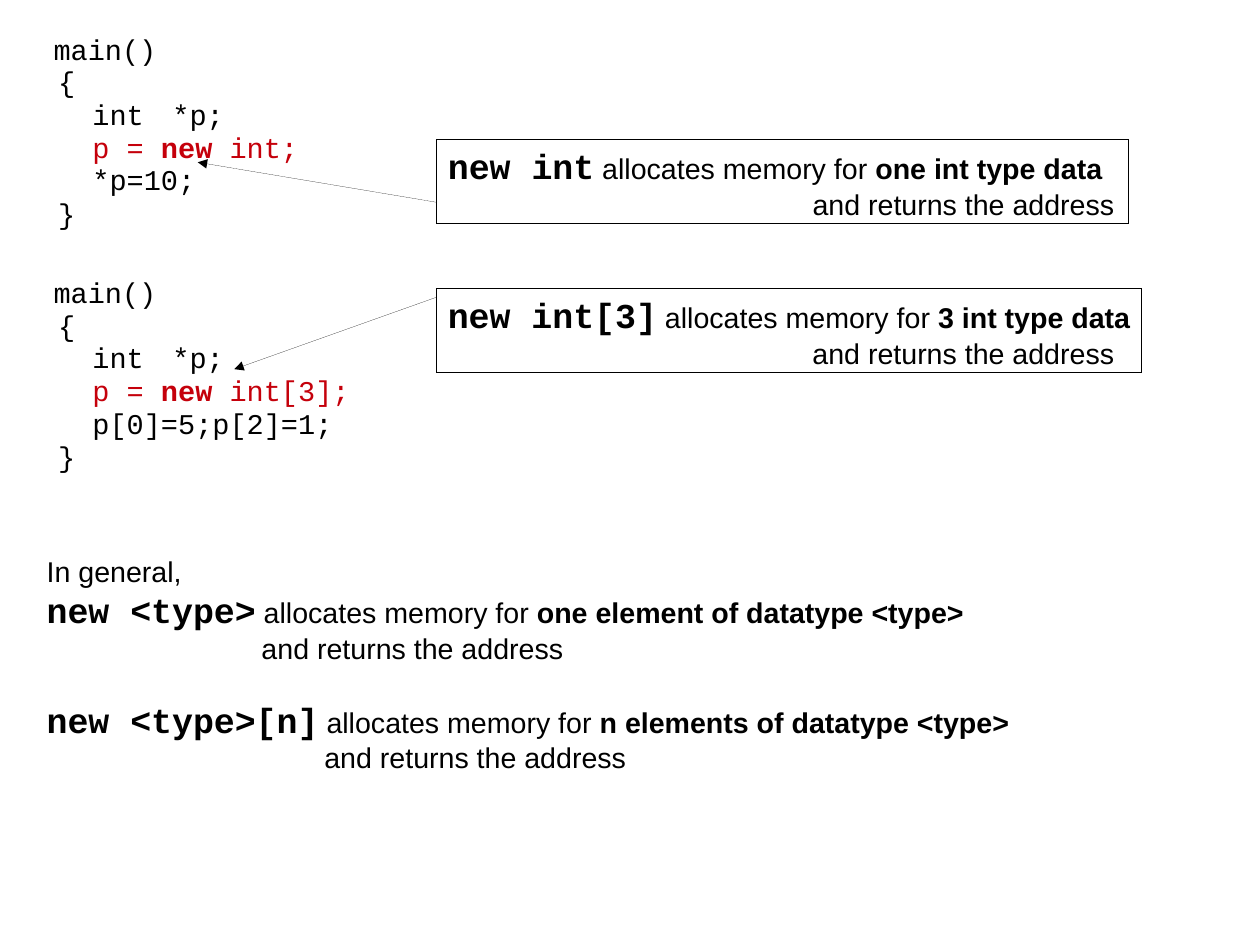
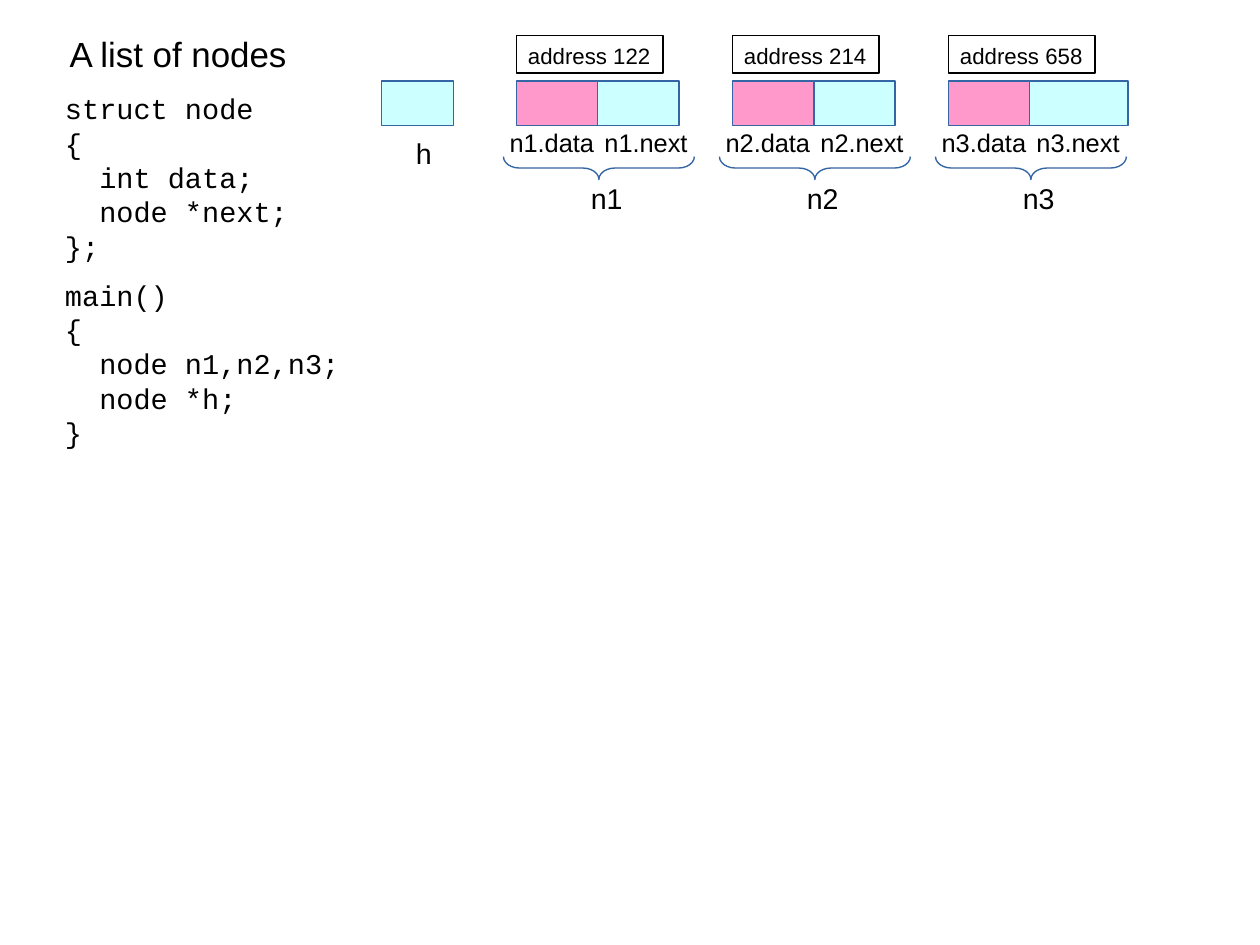
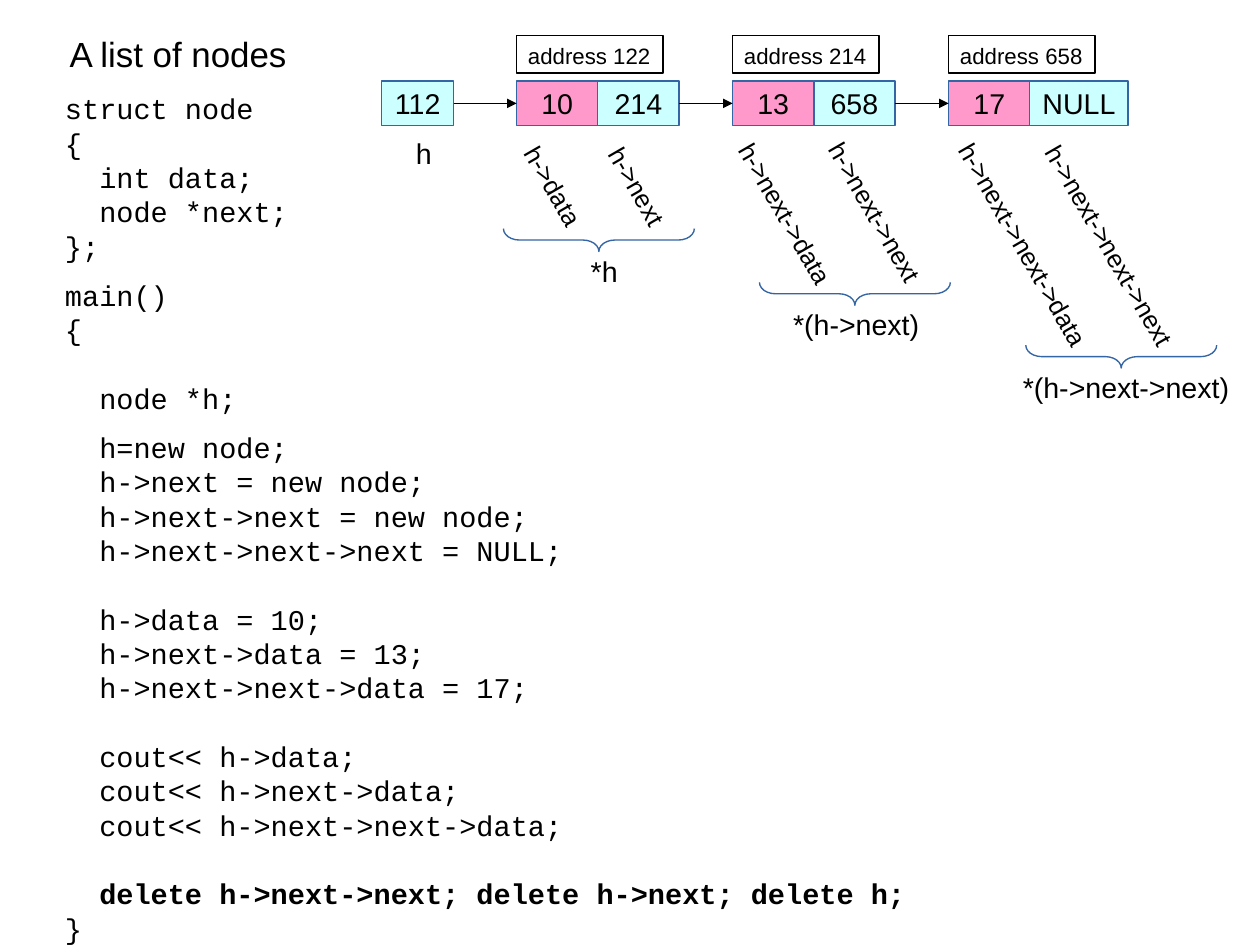
from dataclasses import dataclass

from lxml import etree
from pptx import Presentation
from pptx.dml.color import RGBColor
from pptx.enum.shapes import MSO_CONNECTOR, MSO_SHAPE
from pptx.enum.text import MSO_ANCHOR, PP_ALIGN
from pptx.oxml.ns import qn
from pptx.util import Cm, Inches, Pt

BLACK = RGBColor(0x00, 0x00, 0x00)
RED = RGBColor(0xC5, 0x00, 0x0B)
BLUE = RGBColor(0x34, 0x65, 0xA4)
PINK = RGBColor(0xFF, 0x99, 0xCC)
CYAN = RGBColor(0xCC, 0xFF, 0xFF)
SANS, MONO = "Arial", "Courier New"
HAIRLINE, THIN = 0.01, 0.85

NODE_LEFT, NODE_STEP = 4.52, 1.89
CELL_TOP, CELL_WIDTH, CELL_HEIGHT = 0.71, 0.71, 0.39
NULL_WIDTH = 0.86
HEAD_LEFT, HEAD_WIDTH = 3.34, 0.63
BRACE_DEPTH, BRACE_SPAN = 0.2, 1.67
ADDRESSES = (122, 214, 658)
CODE_GAP, CODE_BLANK, TEXT_BLANK = 9.4, 21.7, 21.2


@dataclass
class Span:
    text: str
    size: float = 18
    face: str = SANS
    bold: bool = False
    color: RGBColor = BLACK

    def style(self, font):
        font.size = Pt(self.size)
        font.name = self.face
        font.bold = self.bold
        font.color.rgb = self.color


@dataclass
class Line:
    spans: list
    indent: float = 0
    before: float = 0
    pitch: float = 0


def code_lines(source, gaps, bold_start="delete"):
    """One line per source line; gaps maps a line's text to its space before."""
    return [Line([Span(row, face=MONO, bold=row.strip().startswith(bold_start))],
                 before=gaps.get(row.strip(), 0))
            for row in source.strip().splitlines()]


def allocation(keyword, amount, indent, before=0):
    """Two lines telling what a new expression does."""
    return [Line([Span(keyword, 22, MONO, True), Span(" allocates memory for "),
                  Span(amount, bold=True)], before=before),
            Line([Span("and returns the address")], indent)]


class Deck:
    def __init__(self):
        self.prs = Presentation()
        self.prs.slide_width = Cm(28)
        self.prs.slide_height = Cm(21)
        self.slide = None

    def new_slide(self):
        self.slide = self.prs.slides.add_slide(self.prs.slide_layouts[6])

    def fill_text(self, shape, lines, inset=0.05, centred=False):
        frame = shape.text_frame
        frame.word_wrap = True
        frame.margin_left = Inches(0.05 if centred else 0.1)
        frame.margin_right = Inches(0.05 if centred else 0)
        frame.margin_top = frame.margin_bottom = Inches(inset)
        frame.vertical_anchor = MSO_ANCHOR.MIDDLE if centred else MSO_ANCHOR.TOP
        for index, line in enumerate(lines):
            paragraph = frame.paragraphs[0] if index == 0 else frame.add_paragraph()
            paragraph.alignment = PP_ALIGN.CENTER if centred else PP_ALIGN.LEFT
            if line.indent:
                paragraph._p.get_or_add_pPr().set("marL", str(Inches(line.indent)))
            if line.pitch:
                paragraph.line_spacing = Pt(line.pitch)
            if line.before:
                paragraph.space_before = Pt(line.before)
            for span in line.spans:
                run = paragraph.add_run()
                run.text = span.text
                if len(line.spans) > 1:
                    span.style(run.font)
            if len(line.spans) == 1:
                line.spans[0].style(paragraph.font)

    def text(self, left, top, width, height, lines, turn=0):
        box = self.slide.shapes.add_textbox(
            Inches(left), Inches(top), Inches(width), Inches(height))
        box.rotation = turn
        self.fill_text(box, lines)

    def label(self, left, top, width, words, size=18, turn=0):
        self.text(left, top, width, 0.38 if size == 18 else 0.35,
                  [Line([Span(words, size)])], turn)

    def outline(self, kind, left, top, width, height, line=BLACK, weight=THIN, fill=None):
        shape = self.slide.shapes.add_shape(
            kind, Inches(left), Inches(top), Inches(width), Inches(height))
        shape.shadow.inherit = False
        if fill is None:
            shape.fill.background()
        else:
            shape.fill.solid()
            shape.fill.fore_color.rgb = fill
        shape.line.color.rgb = line
        shape.line.width = Pt(weight)
        return shape

    def cell(self, left, width, fill, value):
        box = self.outline(MSO_SHAPE.RECTANGLE, left, CELL_TOP, width, CELL_HEIGHT, BLUE,
                           fill=fill)
        if value:
            self.fill_text(box, [Line([Span(value)])], centred=True)

    def callout(self, top, width, lines):
        box = self.outline(MSO_SHAPE.RECTANGLE, 3.82, top, width, 0.74, weight=HAIRLINE)
        self.fill_text(box, lines)

    def brace(self, centre, top):
        """Brace lying under a node, its point downwards."""
        shape = self.outline(MSO_SHAPE.LEFT_BRACE, centre - BRACE_DEPTH / 2,
                             top + (BRACE_DEPTH - BRACE_SPAN) / 2,
                             BRACE_DEPTH, BRACE_SPAN, BLUE)
        shape.adjustments[0] = 0.7
        shape.rotation = 270

    def arrow(self, start, end, weight=THIN):
        link = self.slide.shapes.add_connector(
            MSO_CONNECTOR.STRAIGHT, *(Inches(value) for value in (*start, *end)))
        link.line.color.rgb = BLACK
        link.line.width = Pt(weight)
        etree.SubElement(link.line._get_or_add_ln(), qn("a:tailEnd"), type="triangle")
        etree.SubElement(link._element.spPr, qn("a:effectLst"))

    def program(self, top, statement, last):
        """Short main() whose allocation is shown in red."""
        rows = [[Span("{", face=MONO)],
                [Span("  int\t*p;", face=MONO)],
                [Span("  p = ", face=MONO, color=RED),
                 Span("new", face=MONO, bold=True, color=RED),
                 Span(statement, face=MONO, color=RED)],
                [Span(last, face=MONO)],
                [Span("}", face=MONO)]]
        lines = [Line([Span("main()", face=MONO)], 0.01)]
        lines += [Line(row, 0.05, pitch=20.5) for row in rows]
        lines[-1].pitch = 21.1
        self.text(0.36, top, 7.95, 1.86, lines)

    def node_list(self, source, gaps, head="", values=(("", ""),) * 3):
        """Title, listing and the row of three nodes with their addresses."""
        self.text(0.47, 0.75, 9.19, 7.2, code_lines(source, gaps))
        self.label(0.51, 0.24, 5.38, "A list of nodes", 22)
        self.cell(HEAD_LEFT, HEAD_WIDTH, CYAN, head)
        self.label(3.54, 1.14, 0.34, "h")
        for index, (address, (data, following)) in enumerate(zip(ADDRESSES, values)):
            left = NODE_LEFT + index * NODE_STEP
            last = index == len(ADDRESSES) - 1
            self.cell(left, CELL_WIDTH, PINK, data)
            self.cell(left + CELL_WIDTH, NULL_WIDTH if last else CELL_WIDTH, CYAN, following)
            tag = self.outline(MSO_SHAPE.RECTANGLE, left, 0.31, 1.28, 0.33)
            self.fill_text(tag, [Line([Span(f"address {address}", 14)])], inset=0.06)


STRUCT = """
struct node
{
  int data;
  node *next;
};
main()
{
"""

DECLARATIONS = STRUCT + """\
  node n1,n2,n3;
  node *h;
}
"""

LIST_PROGRAM = STRUCT + """\
  node *h;
  h=new node;
  h->next = new node;
  h->next->next = new node;
  h->next->next->next = NULL;
  h->data = 10;
  h->next->data = 13;
  h->next->next->data = 17;
  cout<< h->data;
  cout<< h->next->data;
  cout<< h->next->next->data;
  delete h->next->next; delete h->next; delete h;
}
"""


def allocation_slide(deck):
    deck.new_slide()
    deck.program(0.23, " int;", "  *p=10;")
    deck.callout(1.22, 6.05, allocation("new int", "one int type data", 3.19))
    deck.arrow((3.82, 1.77), (1.73, 1.42), HAIRLINE)
    deck.program(2.36, " int[3];", "  p[0]=5;p[2]=1;")
    deck.callout(2.52, 6.17, allocation("new int[3]", "3 int type data", 3.19))
    deck.arrow((3.82, 2.6), (2.05, 3.23), HAIRLINE)
    deck.text(0.31, 4.8, 8.7, 1.95, [
        Line([Span("In general,")]),
        *allocation("new <type>", "one element of datatype <type>", 1.88),
        *allocation("new <type>[n]", "n elements of datatype <type>", 2.43, TEXT_BLANK)])


def declared_nodes_slide(deck):
    deck.new_slide()
    deck.node_list(DECLARATIONS, {"main()": CODE_GAP})
    for index in range(3):
        name, shift = f"n{index + 1}", index * NODE_STEP
        deck.label(4.36 + shift, 1.06, 0.94, f"{name}.data", 16)
        deck.label(5.19 + shift, 1.06, 0.93, f"{name}.next", 16)
        deck.brace(5.24 + shift, 1.37)
        deck.label(5.07 + shift, 1.53, 0.48, name)


def linked_nodes_slide(deck):
    deck.new_slide()
    gaps = {"main()": CODE_GAP, "h=new node;": CODE_GAP, "node *h;": CODE_BLANK,
            "h->data = 10;": CODE_BLANK, "cout<< h->data;": CODE_BLANK,
            "delete h->next->next; delete h->next; delete h;": CODE_BLANK}
    deck.node_list(LIST_PROGRAM, gaps, "112",
                   (("10", "214"), ("13", "658"), ("17", "NULL")))

    middle = CELL_TOP + CELL_HEIGHT / 2
    tail = HEAD_LEFT + HEAD_WIDTH
    for index in range(3):
        left = NODE_LEFT + index * NODE_STEP
        deck.arrow((tail, middle), (left, middle))
        tail = left + 2 * CELL_WIDTH

    for words, left, top, width in (
            ("h->data", 4.37, 1.45, 0.96),
            ("h->next", 5.11, 1.45, 0.94),
            ("h->next->data", 6.09, 1.69, 1.58),
            ("h->next->next", 6.88, 1.68, 1.57),
            ("h->next->next->data", 7.86, 1.96, 2.2),
            ("h->next->next->next", 8.62, 1.97, 2.19)):
        deck.label(left, top, width, words, 16, turn=60)

    for words, centre, top, left, width in (
            ("*h", 5.24, 2, 5.07, 0.43),
            ("*(h->next)", 7.48, 2.47, 6.84, 1.3),
            ("*(h->next->next)", 9.81, 3.02, 8.85, 2)):
        deck.brace(centre, top)
        deck.label(left, top + 0.17, width, words)


def main():
    deck = Deck()
    allocation_slide(deck)
    declared_nodes_slide(deck)
    linked_nodes_slide(deck)
    deck.prs.save("out.pptx")


if __name__ == "__main__":
    main()
